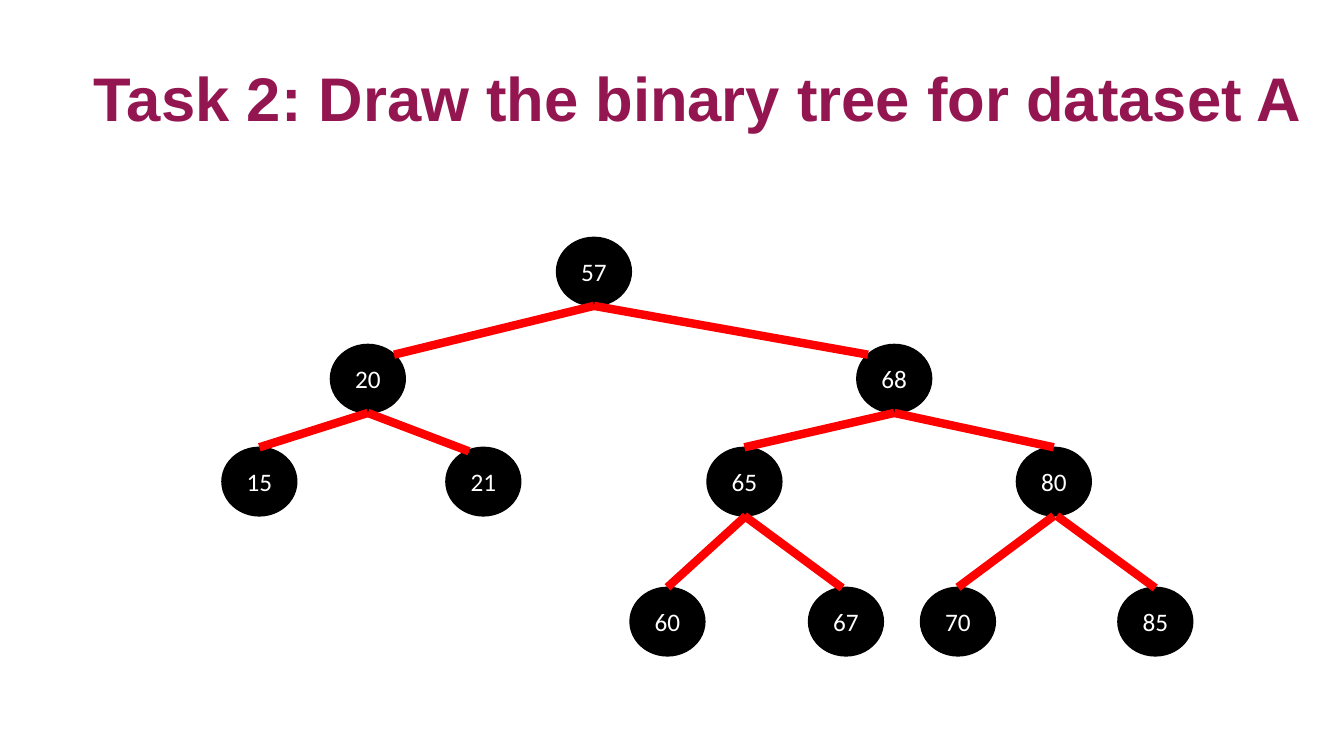
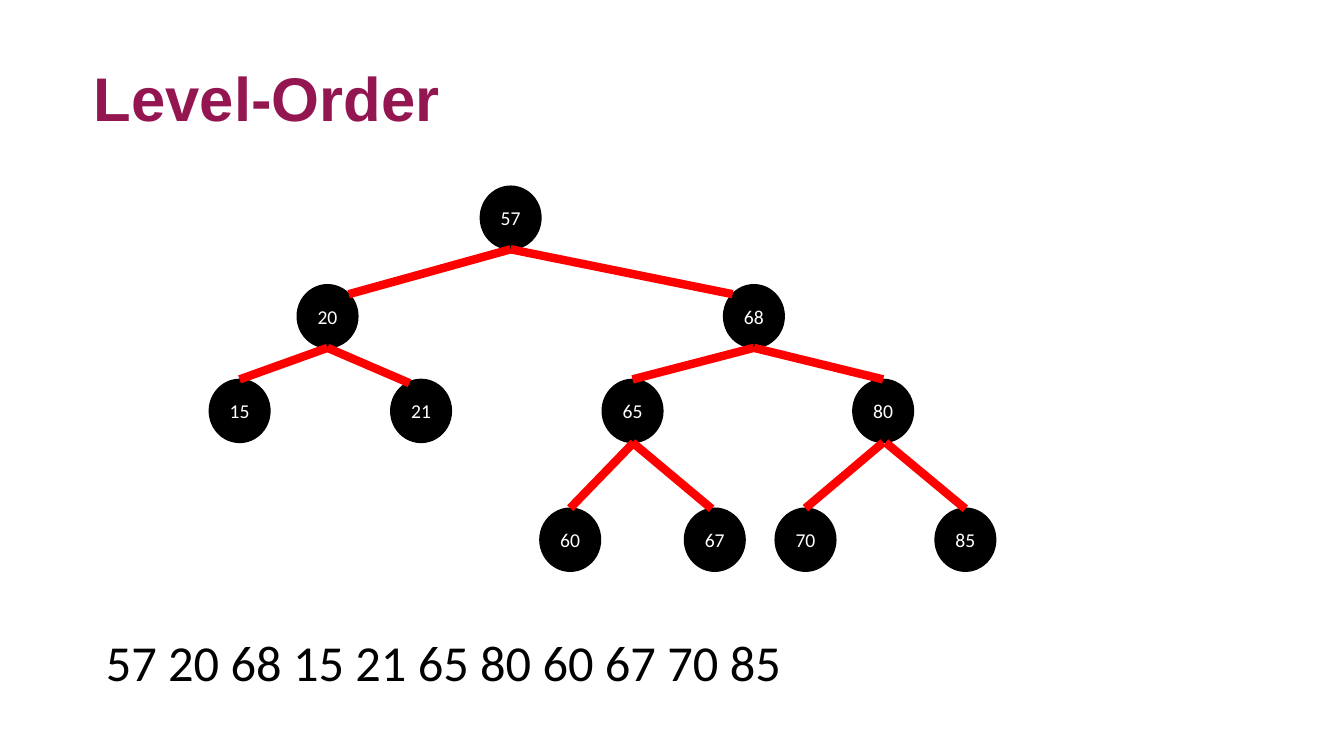
from dataclasses import dataclass

from lxml.etree import SubElement
from pptx import Presentation
from pptx.dml.color import RGBColor
from pptx.enum.shapes import MSO_CONNECTOR, MSO_SHAPE
from pptx.enum.text import MSO_ANCHOR, MSO_AUTO_SIZE, PP_ALIGN
from pptx.oxml.ns import qn
from pptx.util import Pt

PLUM = RGBColor(0x94, 0x16, 0x51)
BLACK = RGBColor(0x00, 0x00, 0x00)
WHITE = RGBColor(0xFF, 0xFF, 0xFF)
RED = RGBColor(0xFF, 0x00, 0x00)

HEADING_FONT = "Arial"
BODY_FONT = "Calibri"

# Tree geometry at full scale, relative to the top left of the tree
NODE_WIDTH, NODE_HEIGHT = 53.5, 49
LEVEL_TOPS = (0, 76.5, 150, 250)


@dataclass
class Node:
    """A tree node; leave and enter are fractions of the node's box."""
    value: int
    level: int
    left: float
    parent: int | None = None
    leave: tuple = (0.5, 1)
    enter: tuple = (0.5, 0)


NODES = (
    Node(57, 0, 239),
    Node(20, 1, 77.5, 57, enter=(0.85, 0.15)),
    Node(68, 1, 453.5, 57, enter=(0.15, 0.15)),
    Node(15, 2, 0, 20),
    Node(21, 2, 160, 20, enter=(0.31, 0.06)),
    Node(65, 2, 346.5, 68),
    Node(80, 2, 567.5, 68),
    Node(60, 3, 291.5, 65, leave=(0.52, 1)),
    Node(67, 3, 419, 65, enter=(0.45, 0.01)),
    Node(70, 3, 499, 80),
    Node(85, 3, 640, 80, leave=(0.54, 1), enter=(0.5, 0.01)),
)


class TreeDeck:
    def __init__(self):
        self.deck = Presentation()
        self.deck.slide_width = Pt(960)
        self.deck.slide_height = Pt(540)
        self.page = None

    def add_page(self, title, title_width):
        self.page = self.deck.slides.add_slide(self.deck.slide_layouts[6])
        self.add_text(title, 60, 39.5, title_width, 60.5,
                      HEADING_FONT, 44, PLUM, bold=True)

    def style_text(self, frame, text, font, size, color, align, bold=False):
        frame.text = text
        para = frame.paragraphs[0]
        para.alignment = align
        span = para.runs[0]
        span.font.name = font
        span.font.size = Pt(size)
        span.font.bold = bold
        span.font.color.rgb = color

    def add_text(self, text, left, top, width, height, font, size, color,
                 align=PP_ALIGN.LEFT, bold=False):
        box = self.page.shapes.add_textbox(Pt(left), Pt(top), Pt(width), Pt(height))
        frame = box.text_frame
        frame.word_wrap = False
        frame.auto_size = MSO_AUTO_SIZE.SHAPE_TO_FIT_TEXT
        self.style_text(frame, text, font, size, color, align, bold)

    def add_node(self, group, value, left, top, width, height, size):
        oval = group.shapes.add_shape(MSO_SHAPE.OVAL, Pt(left), Pt(top),
                                      Pt(width), Pt(height))
        oval.shadow.inherit = False
        oval.fill.solid()
        oval.fill.fore_color.rgb = BLACK
        oval.line.color.rgb = BLACK
        oval.line.width = Pt(1)
        frame = oval.text_frame
        frame.vertical_anchor = MSO_ANCHOR.MIDDLE
        frame.margin_left = frame.margin_right = Pt(0)
        self.style_text(frame, str(value), BODY_FONT, size, WHITE, PP_ALIGN.CENTER)

    def add_edge(self, group, start, end):
        edge = group.shapes.add_connector(MSO_CONNECTOR.STRAIGHT,
                                          *(Pt(length) for length in start + end))
        edge.line.color.rgb = RED
        edge.line.width = Pt(6)
        SubElement(edge.element.spPr, qn("a:effectLst"))

    def add_tree(self, left, top, size, scale_x=1, scale_y=1):
        """Draw all nodes, then the edges on top of them, as one group."""
        group = self.page.shapes.add_group_shape()
        by_value = {node.value: node for node in NODES}

        def place(node, across=0, down=0):
            """Slide position of a point given as fractions of the node's box."""
            return (left + scale_x * (node.left + across * NODE_WIDTH),
                    top + scale_y * (LEVEL_TOPS[node.level] + down * NODE_HEIGHT))

        for node in NODES:
            self.add_node(group, node.value, *place(node),
                          scale_x * NODE_WIDTH, scale_y * NODE_HEIGHT, size)
        for node in NODES:
            if node.parent is not None:
                self.add_edge(group, place(by_value[node.parent], *node.leave),
                              place(node, *node.enter))

    def save(self):
        self.deck.save("out.pptx")


def main():
    tree_deck = TreeDeck()

    tree_deck.add_page("Task 2: Draw the binary tree for dataset A", 886)
    tree_deck.add_tree(158.5, 169.5, size=18)

    tree_deck.add_page("Level-Order", 264)
    tree_deck.add_tree(149.5, 133, size=14, scale_x=0.81, scale_y=0.92)
    level_order = " ".join(str(node.value) for node in NODES)
    tree_deck.add_text(level_order, 66, 447, 502, 51, BODY_FONT, 36, BLACK,
                       PP_ALIGN.CENTER)

    tree_deck.save()


if __name__ == "__main__":
    main()
